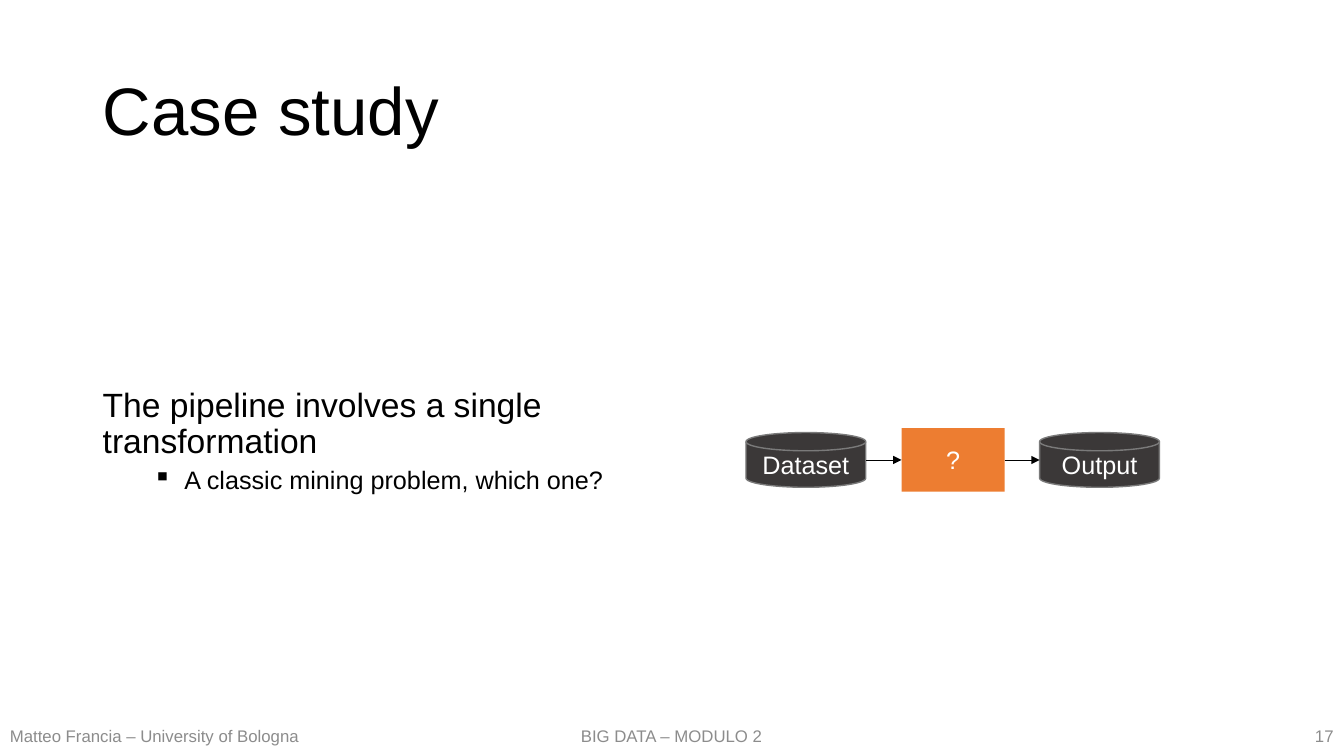
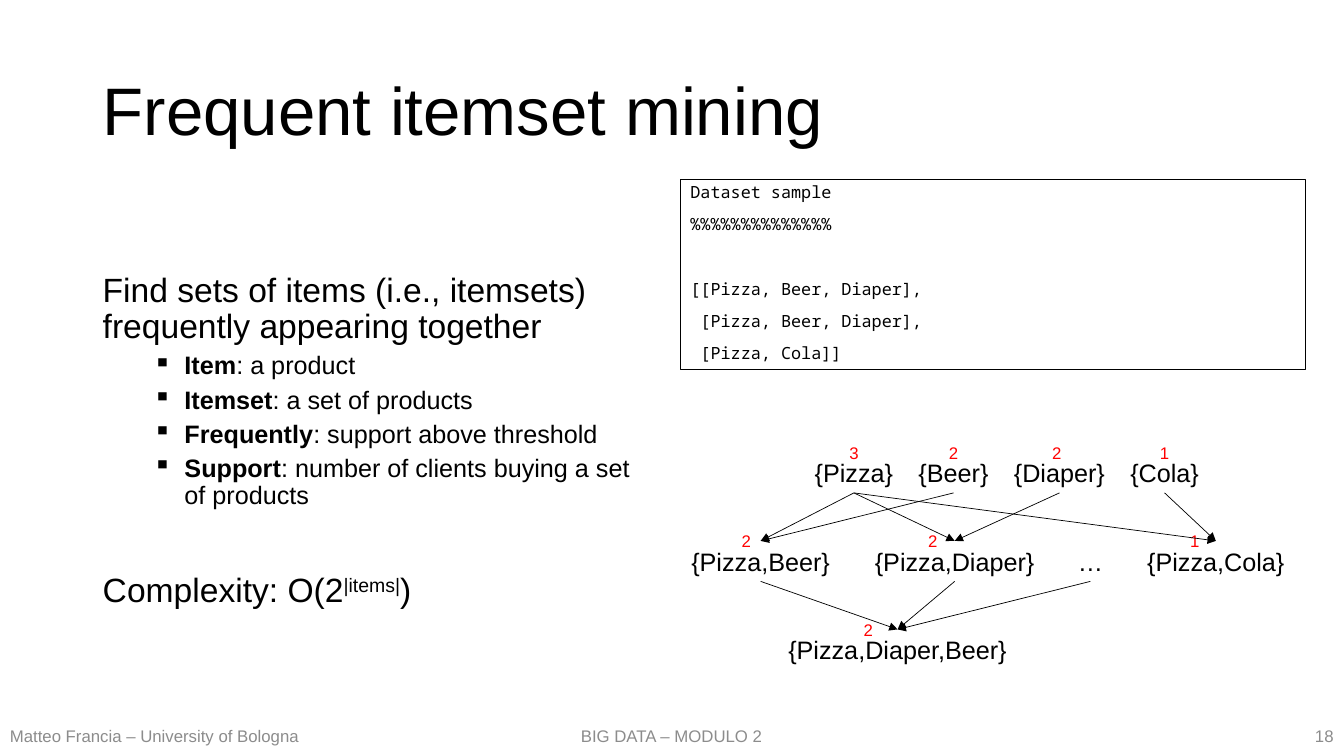
from lxml import etree
from pptx import Presentation
from pptx.dml.color import RGBColor
from pptx.enum.shapes import MSO_CONNECTOR, MSO_SHAPE
from pptx.enum.text import MSO_ANCHOR, MSO_AUTO_SIZE, PP_ALIGN
from pptx.oxml.ns import qn
from pptx.util import Cm, Pt

LEFT, CENTER, RIGHT = PP_ALIGN.LEFT, PP_ALIGN.CENTER, PP_ALIGN.RIGHT
TOP, MIDDLE = MSO_ANCHOR.TOP, MSO_ANCHOR.MIDDLE
DISK, RECTANGLE = MSO_SHAPE.FLOWCHART_MAGNETIC_DISK, MSO_SHAPE.RECTANGLE
STRAIGHT = MSO_CONNECTOR.STRAIGHT
TOP_SITE, BOTTOM_SITE = 0, 2

FONT, CODE_FONT = "Arial", "Noto Sans Mono"
COLORS = {
    "text": "000000",
    "footer": "8C8C8C",
    "white": "FFFFFF",
    "store": "3B3838",
    "store_line": "7A7A7A",
    "step": "ED7D31",
    "support": "FF0000",
}
COLORS = {name: RGBColor.from_string(value) for name, value in COLORS.items()}


def write_text(shape, text, size, color="text", align=LEFT, anchor=MIDDLE, font=FONT, wrap=True):
    """Fill a shape with one paragraph per line of text, all in one style."""
    text_frame = shape.text_frame
    text_frame.text = text
    text_frame.word_wrap = wrap
    text_frame.auto_size = MSO_AUTO_SIZE.NONE if wrap else MSO_AUTO_SIZE.SHAPE_TO_FIT_TEXT
    text_frame.vertical_anchor = anchor
    for paragraph in text_frame.paragraphs:
        paragraph.alignment = align
        for run in paragraph.runs:
            run.font.name = font
            run.font.size = Pt(size)
            run.font.color.rgb = COLORS[color]


def add_arrow(slide, start, end):
    arrow = slide.shapes.add_connector(STRAIGHT, Cm(start[0]), Cm(start[1]), Cm(end[0]), Cm(end[1]))
    arrow.line.color.rgb = COLORS["text"]
    arrow.line.width = Pt(0.5)
    etree.SubElement(arrow.line._get_or_add_ln(), qn("a:tailEnd"), type="triangle")
    etree.SubElement(arrow._element.spPr, qn("a:effectLst"))
    return arrow


presentation = Presentation()
presentation.slide_width, presentation.slide_height = Cm(33.87), Cm(19.05)
blank_layout = presentation.slide_layouts[6]

# Body paragraphs: is it a bullet, space before in points, runs as (text, style)
SLIDES = [
    (17, "Case study", [
        (False, 10, [("The pipeline involves a single transformation", "")]),
        (True, 5, [("A classic mining problem, which one?", "")]),
    ]),
    (18, "Frequent itemset mining", [
        (False, 10, [("Find sets of items (i.e., itemsets) frequently appearing together", "")]),
        (True, 5, [("Item", "bold"), (": a product", "")]),
        (True, 5, [("Itemset", "bold"), (": a set of products", "")]),
        (True, 5, [("Frequently", "bold"), (": support above threshold", "")]),
        (True, 5, [("Support", "bold"), (": number of clients buying a set of products", "")]),
        (False, 45, [("Complexity: O(2", ""), ("|items|", "superscript"), (")", "")]),
    ]),
]

# Title, body and footers of every slide
for number, title, body in SLIDES:
    slide = presentation.slides.add_slide(blank_layout)
    title_box = slide.shapes.add_textbox(Cm(2.34), Cm(1.02), Cm(29.21), Cm(3.68))
    write_text(title_box, title, 48)
    title_box.text_frame.paragraphs[0].line_spacing = 0.9

    body_box = slide.shapes.add_textbox(Cm(2.34), Cm(5.08), Cm(14.4), Cm(12.09))
    body_lines = ["".join(text for text, style in runs) for is_bullet, space, runs in body]
    write_text(body_box, "\n".join(body_lines), 24)
    for paragraph, (is_bullet, space, runs) in zip(body_box.text_frame.paragraphs, body):
        paragraph.line_spacing = 0.9
        paragraph.space_before = Pt(space)
        paragraph.clear()
        for text, style in runs:
            run = paragraph.add_run()
            run.text = text
            run.font.name = FONT
            run.font.size = Pt(18 if is_bullet else 24)
            run.font.color.rgb = COLORS["text"]
            run.font.bold = style == "bold"
            if style == "superscript":
                run.font._element.set("baseline", "30000")
        if is_bullet:
            properties = paragraph._p.get_or_add_pPr()
            properties.set("marL", str(Cm(2.06)))
            properties.set("indent", str(Cm(-0.79)))
            etree.SubElement(properties, qn("a:buChar"), char="▪")

    for left, width, text, align in [
        (0, 7.87, "Matteo Francia – University of Bologna", LEFT),
        (13.28, 7.29, "BIG DATA – MODULO 2", CENTER),
        (26.24, 7.62, str(number), RIGHT),
    ]:
        footer_box = slide.shapes.add_textbox(Cm(left), Cm(18.03), Cm(width), Cm(1.02))
        write_text(footer_box, text, 12, "footer", align)

case_slide, mining_slide = presentation.slides

# Case study: the pipeline runs along one horizontal axis
PIPELINE_AXIS = 11.59
PIPELINE = [
    (DISK, "Dataset", 18.8, 3.02, 1.38, "store"),
    (RECTANGLE, "?", 22.72, 2.6, 1.6, "step"),
    (DISK, "Output", 26.2, 3.02, 1.38, "store"),
]
previous_right = None
for kind, text, left, width, height, color in PIPELINE:
    stage = case_slide.shapes.add_shape(
        kind, Cm(left), Cm(PIPELINE_AXIS - height / 2), Cm(width), Cm(height))
    stage.shadow.inherit = False
    stage.fill.solid()
    stage.fill.fore_color.rgb = COLORS[color]
    if kind == DISK:
        stage.line.color.rgb = COLORS["store_line"]
        stage.line.width = Pt(1)
    else:
        stage.line.fill.background()
    write_text(stage, text, 18, "white", CENTER)
    if previous_right is not None:
        add_arrow(case_slide, (previous_right, PIPELINE_AXIS), (left, PIPELINE_AXIS))
    previous_right = left + width

# Frequent itemset mining: the lattice of itemsets
LATTICE_TOP, ROW_PITCH, NODE_HEIGHT = 11.4, 2.23, 1.02
SUPPORT_RISE, SUPPORT_WIDTH, SUPPORT_HEIGHT = 0.38, 0.74, 0.76
# Itemset, centre, width, support, centre of the support
LATTICE = [
    [
        ("{Pizza}", 21.52, 2.51, "3", 21.52),
        ("{Beer}", 24.03, 2.29, "2", 24.03),
        ("{Diaper}", 26.7, 2.82, "2", 26.63),
        ("{Cola}", 29.35, 2.26, "1", 29.35),
    ],
    [
        ("{Pizza,Beer}", 19.17, 4.04, "2", 18.81),
        ("{Pizza,Diaper}", 24.06, 4.57, "2", 23.51),
        ("…", 27.48, 1.14, None, None),
        ("{Pizza,Cola}", 30.64, 4.01, "1", 30.11),
    ],
    [("{Pizza,Diaper,Beer}", 22.62, 6.07, "2", 21.88)],
]
LINKS = [
    ("{Pizza}", "{Pizza,Beer}"),
    ("{Pizza}", "{Pizza,Diaper}"),
    ("{Beer}", "{Pizza,Beer}"),
    ("{Diaper}", "{Pizza,Diaper}"),
    ("{Pizza}", "{Pizza,Cola}"),
    ("{Cola}", "{Pizza,Cola}"),
    ("{Pizza,Diaper}", "{Pizza,Diaper,Beer}"),
    ("{Pizza,Beer}", "{Pizza,Diaper,Beer}"),
    ("…", "{Pizza,Diaper,Beer}"),
]
nodes = {}
for row, itemsets in enumerate(LATTICE):
    top = LATTICE_TOP + row * ROW_PITCH
    for itemset, center, width, support, support_center in itemsets:
        node = mining_slide.shapes.add_textbox(
            Cm(center - width / 2), Cm(top), Cm(width), Cm(NODE_HEIGHT))
        write_text(node, itemset, 18, align=CENTER, anchor=TOP, wrap=False)
        nodes[itemset] = node
        if support:
            support_box = mining_slide.shapes.add_textbox(
                Cm(support_center - SUPPORT_WIDTH / 2), Cm(top - SUPPORT_RISE),
                Cm(SUPPORT_WIDTH), Cm(SUPPORT_HEIGHT))
            write_text(support_box, support, 12, "support", CENTER, TOP, wrap=False)

for subset, superset in LINKS:
    arrow = add_arrow(mining_slide, (0, 0), (1, 1))
    arrow.begin_connect(nodes[subset], BOTTOM_SITE)
    arrow.end_connect(nodes[superset], TOP_SITE)

# Frequent itemset mining: the sample of the dataset
SAMPLE = [
    "Dataset sample",
    "%%%%%%%%%%%%%%",
    "[[Pizza, Beer, Diaper],",
    " [Pizza, Beer, Diaper],",
    " [Pizza, Cola]]",
]
sample_box = mining_slide.shapes.add_shape(RECTANGLE, Cm(17.15), Cm(4.52), Cm(15.75), Cm(4.8))
sample_box.shadow.inherit = False
sample_box.fill.background()
sample_box.line.color.rgb = COLORS["text"]
sample_box.line.width = Pt(0.75)
write_text(sample_box, "\n".join(SAMPLE), 12, anchor=TOP, font=CODE_FONT)
for index, paragraph in enumerate(sample_box.text_frame.paragraphs):
    paragraph.line_spacing = 0.9
    paragraph.space_before = Pt(33 if index == 2 else 10)

presentation.save("out.pptx")
